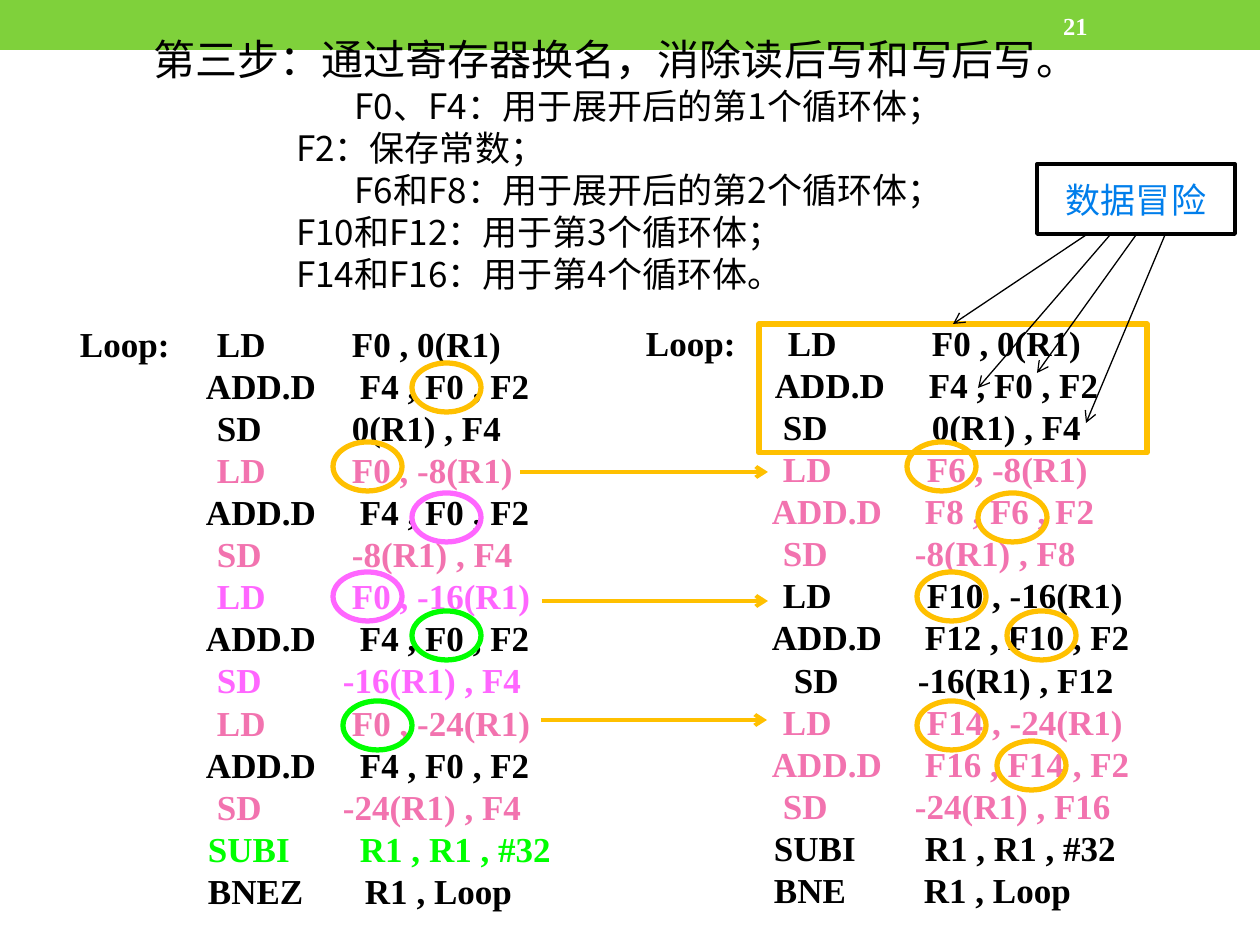
from lxml import etree
from pptx import Presentation
from pptx.dml.color import RGBColor
from pptx.enum.shapes import MSO_CONNECTOR, MSO_SHAPE
from pptx.enum.text import MSO_ANCHOR, MSO_AUTO_SIZE, PP_ALIGN
from pptx.oxml.ns import qn
from pptx.util import Emu, Pt

RECTANGLE, OVAL = MSO_SHAPE.RECTANGLE, MSO_SHAPE.OVAL
STRAIGHT = MSO_CONNECTOR.STRAIGHT
MIDDLE, NO_FIT = MSO_ANCHOR.MIDDLE, MSO_AUTO_SIZE.NONE
LEFT, CENTER = PP_ALIGN.LEFT, PP_ALIGN.CENTER
SERIF, SANS, CALLOUT_FONT = "Times New Roman", "Noto Sans CJK SC", "Calibri"
COLORS = {
    "band": "7FD13B", "white": "FFFFFF", "black": "000000", "rose": "F273AF",
    "violet": "FF66FF", "green": "00FF00", "amber": "FFC000", "blue": "007EEB",
}
INSET, LISTING_INSET, INDENT = 13, 46, 33
RING_WIDTH, RING_HEIGHT = 69, 49

HEADING = [
    ("第三步：通过寄存器换名，消除读后写和写后写。", LEFT, INDENT, 24, 29),
    ("F0、F4：用于展开后的第1个循环体；", CENTER, INDENT, 20, 24),
    ("F2：保存常数；", LEFT, 175, 20, 24),
    ("F6和F8：用于展开后的第2个循环体；", CENTER, INDENT, 20, 24),
    ("F10和F12：用于第3个循环体；", LEFT, 175, 20, 24),
    ("F14和F16：用于第4个循环体。", LEFT, 175, 20, 24),
]
BEFORE_RENAMING = [
    ("LD", "F0 , 0(R1)", 137, 272, "black"),
    ("ADD.D", "F4 , F0 , F2", 126, 280, "black"),
    ("SD", "0(R1) , F4", 137, 272, "black"),
    ("LD", "F0 , -8(R1)", 137, 272, "rose"),
    ("ADD.D", "F4 , F0 , F2", 126, 280, "black"),
    ("SD", "-8(R1) , F4", 137, 272, "rose"),
    ("LD", "F0 , -16(R1)", 137, 272, "violet"),
    ("ADD.D", "F4 , F0 , F2", 126, 280, "black"),
    ("SD", "-16(R1) , F4", 137, 263, "violet"),
    ("LD", "F0 , -24(R1)", 137, 272, "rose"),
    ("ADD.D", "F4 , F0 , F2", 126, 280, "black"),
    ("SD", "-24(R1) , F4", 137, 263, "rose"),
    ("SUBI", "R1 , R1 , #32", 128, 280, "green"),
    ("BNEZ", "R1 , Loop", 128, 285, "black"),
]
AFTER_RENAMING = [
    ("LD", "F0 , 0(R1)", 142, 286, "black"),
    ("ADD.D", "F4 , F0 , F2", 129, 283, "black"),
    ("SD", "0(R1) , F4", 137, 286, "black"),
    ("LD", "F6 , -8(R1)", 137, 281, "rose"),
    ("ADD.D", "F8 , F6 , F2", 126, 279, "rose"),
    ("SD", "-8(R1) , F8", 137, 269, "rose"),
    ("LD", "F10 , -16(R1)", 137, 281, "black"),
    ("ADD.D", "F12 , F10 , F2", 126, 279, "black"),
    ("SD", "-16(R1) , F12", 148, 272, "black"),
    ("LD", "F14 , -24(R1)", 137, 281, "rose"),
    ("ADD.D", "F16 , F14 , F2", 126, 279, "rose"),
    ("SD", "-24(R1) , F16", 137, 269, "rose"),
    ("SUBI", "R1 , R1 , #32", 128, 279, "black"),
    ("BNE", "R1 , Loop", 128, 278, "black"),
]
RINGS_BEFORE = [
    (378, 49, "amber"), (299, 128, "amber"), (378, 179, "violet"),
    (299, 258, "violet"), (378, 297, "green"), (309, 387, "green"),
]
RINGS_AFTER = [
    (307, 129, "amber"), (378, 180, "amber"), (317, 259, "amber"),
    (407, 298, "amber"), (317, 388, "amber"), (397, 428, "amber"),
]
RENAMING_ARROWS = [(520, 768, 472), (542, 768, 601), (541, 767, 720)]
HAZARD_ARROWS = [
    (49, 71, -84, 160), (99, 71, 0, 209), (73, 71, -59, 224), (128, 71, 49, 259),
]


def px(length):
    return Emu(round(length * 914400 / 126))


def color(name):
    return RGBColor.from_string(COLORS[name])


def style_font(para, face, size, shade, bold=False):
    font = para.font
    font.name, font.size, font.bold = face, Pt(size), bold
    font.color.rgb = color(shade)
    defaults = para._p.pPr.find(qn("a:defRPr"))
    etree.SubElement(defaults, qn("a:ea"), typeface=face)
    return defaults


def prepare_frame(shape, left_inset=INSET):
    frame = shape.text_frame
    frame.word_wrap, frame.auto_size = True, NO_FIT
    frame.vertical_anchor = MIDDLE
    frame.margin_left, frame.margin_right = px(left_inset), px(INSET)
    frame.margin_top = frame.margin_bottom = 0
    return frame


def add_paragraph(frame, index, text):
    para = frame.paragraphs[0] if index == 0 else frame.add_paragraph()
    para.text = text
    return para


def set_indent(para, length):
    properties = para._p.get_or_add_pPr()
    properties.set("marL", "0")
    properties.set("indent", str(px(length)))


def add_outline(page, kind, box, shade, width):
    shape = page.shapes.add_shape(kind, *map(px, box))
    shape.shadow.inherit = False
    shape.fill.background()
    shape.line.color.rgb, shape.line.width = color(shade), Pt(width)
    return shape


def add_arrow(page, start, end, shade, width):
    arrow = page.shapes.add_connector(STRAIGHT, *map(px, start + end))
    arrow.line.color.rgb, arrow.line.width = color(shade), Pt(width)
    etree.SubElement(arrow.line._get_or_add_ln(), qn("a:tailEnd"), type="arrow")
    etree.SubElement(arrow._element.spPr, qn("a:effectLst"))


def add_header(page, box):
    left, top = box[:2]
    band = page.shapes.add_shape(RECTANGLE, *map(px, box))
    band.shadow.inherit = False
    band.fill.solid()
    band.fill.fore_color.rgb = color("band")
    band.line.fill.background()
    page.shapes._spTree.insert(2, band._element)
    number = page.shapes.add_textbox(px(left + 1050), px(top + 3), px(147), px(45))
    para = add_paragraph(prepare_frame(number), 0, "21")
    style_font(para, SERIF, 14, "white", True)


def add_heading(page, box):
    title = page.shapes.title
    title.left, title.top, title.width, title.height = map(px, box)
    frame = prepare_frame(title)
    for index, (text, align, indent, size, spacing) in enumerate(HEADING):
        para = add_paragraph(frame, index, text)
        para.alignment, para.line_spacing = align, Pt(spacing)
        para.space_before = Pt(0)
        set_indent(para, indent)
        style_font(para, SANS, size, "black")


def add_listing(page, box, rows):
    listing = page.shapes.add_textbox(*map(px, box))
    frame = prepare_frame(listing, LISTING_INSET)
    for index, (operation, operands, *stops, shade) in enumerate(rows):
        label = "Loop:" if index == 0 else ""
        para = add_paragraph(frame, index, f"{label}\t{operation}\t{operands}")
        para.line_spacing = Pt(24)
        defaults = style_font(para, SERIF, 20, shade, True)
        tabs = etree.Element(qn("a:tabLst"))
        for stop in stops:
            etree.SubElement(tabs, qn("a:tab"), pos=str(px(stop)), algn="l")
        defaults.addprevious(tabs)


def add_rings(page, box, rings):
    for x, y, shade in rings:
        ring = (box[0] + x, box[1] + y, RING_WIDTH, RING_HEIGHT)
        add_outline(page, OVAL, ring, shade, 3)


def add_hazard_callout(page, box):
    left, top = box[:2]
    callout = add_outline(page, RECTANGLE, box, "black", 2.25)
    para = add_paragraph(prepare_frame(callout), 0, "数据冒险")
    para.alignment = CENTER
    style_font(para, CALLOUT_FONT, 20, "blue")
    for x1, y1, x2, y2 in HAZARD_ARROWS:
        add_arrow(page, (left + x1, top + y1), (left + x2, top + y2), "black", 0.75)


def main():
    deck = Presentation()
    deck.slide_width, deck.slide_height = px(1260), px(945)
    page = deck.slides.add_slide(deck.slide_layouts[5])
    before_box, after_box = (34, 314, 601, 606), (600, 313, 615, 606)
    add_header(page, (0, 0, 1260, 50))
    add_heading(page, (108, 26, 1048, 276))
    add_listing(page, after_box, AFTER_RENAMING)
    add_listing(page, before_box, BEFORE_RENAMING)
    for start, end, y in RENAMING_ARROWS:
        add_arrow(page, (start, y), (end, y), "amber", 2.25)
    add_rings(page, before_box, RINGS_BEFORE)
    add_outline(page, RECTANGLE, (759, 324, 388, 129), "amber", 3)
    add_hazard_callout(page, (1037, 164, 198, 70))
    add_rings(page, after_box, RINGS_AFTER)
    deck.save("out.pptx")


if __name__ == "__main__":
    main()
